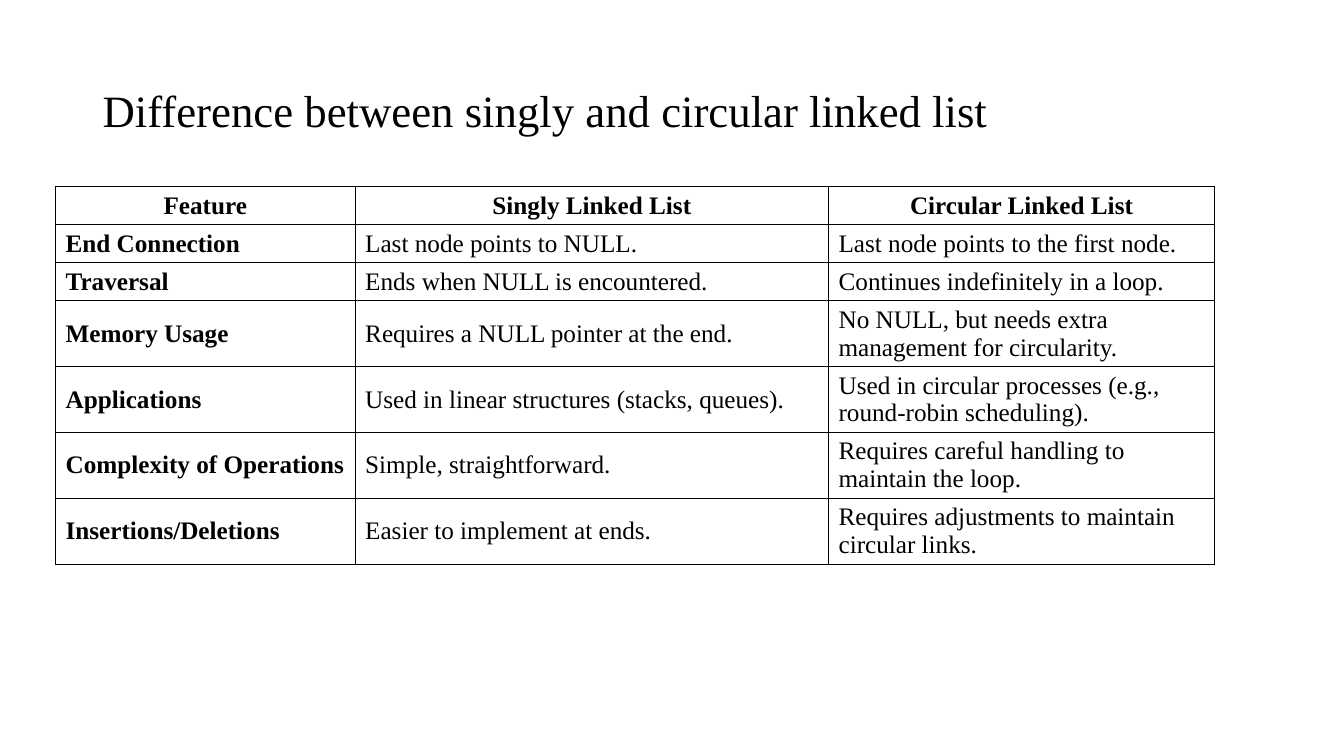
from lxml.etree import SubElement
from pptx import Presentation
from pptx.dml.color import RGBColor
from pptx.enum.text import MSO_ANCHOR, PP_ALIGN
from pptx.oxml.ns import qn
from pptx.util import Cm, Pt

COLORS = {"text": "000000", "border": "000000"}
FONT = "Times New Roman"
COLUMN_WIDTHS = (7.55, 11.93, 9.73)
LINE_HEIGHT = 0.7
VERTICAL_MARGIN = 0.127
ROWS = (
    ("Feature", "Singly Linked List", "Circular Linked List"),
    ("End Connection", "Last node points to NULL.",
     "Last node points to the first node."),
    ("Traversal", "Ends when NULL is encountered.",
     "Continues indefinitely in a loop."),
    ("Memory Usage", "Requires a NULL pointer at the end.",
     "No NULL, but needs extra management for circularity."),
    ("Applications", "Used in linear structures (stacks, queues).",
     "Used in circular processes (e.g., round-robin scheduling)."),
    ("Complexity of Operations", "Simple, straightforward.",
     "Requires careful handling to maintain the loop."),
    ("Insertions/Deletions", "Easier to implement at ends.",
     "Requires adjustments to maintain circular links."),
)
SINGLE_LINE_ROWS = 3


def write_text(text_frame, text, size=18, bold=False, align=PP_ALIGN.LEFT, spacing=1.0):
    """Fill a text frame with one formatted paragraph."""
    paragraph = text_frame.paragraphs[0]
    paragraph.alignment = align
    paragraph.line_spacing = spacing
    run = paragraph.add_run()
    run.text = text
    run.font.name = FONT
    run.font.size = Pt(size)
    run.font.bold = bold
    run.font.color.rgb = RGBColor.from_string(COLORS["text"])


def draw_borders(cell, width=1):
    """Draw a solid line on all four sides of a cell."""
    properties = cell._tc.get_or_add_tcPr()
    for side in ("lnL", "lnR", "lnT", "lnB"):
        line = SubElement(properties, qn(f"a:{side}"), w=str(Pt(width)))
        fill = SubElement(line, qn("a:solidFill"))
        SubElement(fill, qn("a:srgbClr"), val=COLORS["border"])


def place_title(slide, left, top, width, height):
    """Move the title placeholder into its box and write the heading."""
    title = slide.shapes.title
    title.left, title.top = Cm(left), Cm(top)
    title.width, title.height = Cm(width), Cm(height)
    title.text_frame.vertical_anchor = MSO_ANCHOR.MIDDLE
    write_text(title.text_frame, "Difference between singly and circular linked list",
               size=32, spacing=0.9)


def place_comparison(slide, left, top):
    """Build the comparison table from its top left corner."""
    heights = [LINE_HEIGHT * (1 if index < SINGLE_LINE_ROWS else 2) + 2 * VERTICAL_MARGIN
               for index in range(len(ROWS))]
    table = slide.shapes.add_table(
        len(ROWS), len(COLUMN_WIDTHS), Cm(left), Cm(top),
        Cm(sum(COLUMN_WIDTHS)), Cm(sum(heights))).table
    table.first_row = False
    table.horz_banding = False
    for column, width in zip(table.columns, COLUMN_WIDTHS):
        column.width = Cm(width)
    for row_index, texts in enumerate(ROWS):
        table.rows[row_index].height = Cm(heights[row_index])
        for column_index, text in enumerate(texts):
            cell = table.cell(row_index, column_index)
            cell.vertical_anchor = MSO_ANCHOR.MIDDLE
            draw_borders(cell)
            cell.fill.background()
            is_header = row_index == 0
            write_text(cell.text_frame, text, bold=is_header or column_index == 0,
                       align=PP_ALIGN.CENTER if is_header else PP_ALIGN.LEFT)


def main():
    """Create the slide and save the presentation."""
    presentation = Presentation()
    presentation.slide_width, presentation.slide_height = Cm(33.87), Cm(19.05)
    slide = presentation.slides.add_slide(presentation.slide_layouts[5])
    place_title(slide, left=2.33, top=1.01, width=29.21, height=3.68)
    place_comparison(slide, left=1.4, top=4.7)
    presentation.save("out.pptx")


if __name__ == "__main__":
    main()
